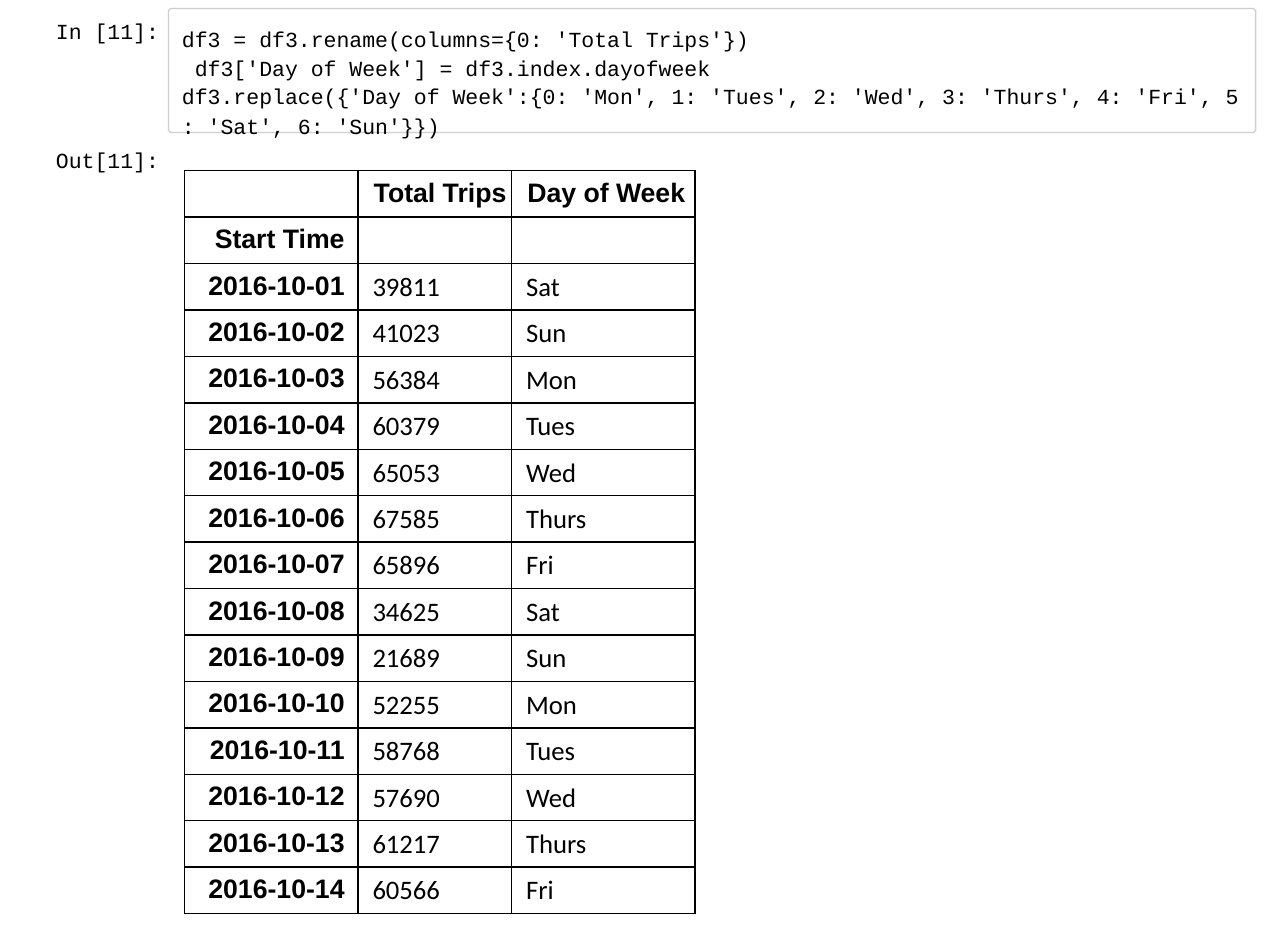
from itertools import product
from lxml import etree
from pptx import Presentation
from pptx import util as u
from pptx.dml.color import RGBColor
from pptx.enum import text
from pptx.oxml import ns

Pt = u.Pt
COLORS = {"ink": "000000", "frame": "CFCFCF"}
CODE = {"name": "Courier New", "size": Pt(12.5), "bold": False}
HEAD = {"name": "Arial", "size": Pt(15.5), "bold": True}
BODY = {**HEAD, "name": "Calibri", "bold": False}

# Line spacing and text of each code paragraph; \v breaks the line
CODE_LINES = [
    (1.14, "df3 = df3.rename(columns={0: 'Total Trips'})\v df3['Day of Week'] = df3.index.dayofweek"),
    (1.08, "df3.replace({'Day of Week':{0: 'Mon', 1: 'Tues', 2: 'Wed', 3: 'Thurs', 4: 'Fri', 5"),
    (1.17, ": 'Sat', 6: 'Sun'}})"),
]
TRIPS = [39811, 41023, 56384, 60379, 65053, 67585, 65896,
         34625, 21689, 52255, 58768, 57690, 61217, 60566]
WEEK = ["Sat", "Sun", "Mon", "Tues", "Wed", "Thurs", "Fri"]


def set_attrs(obj, values):
    for name, value in values.items():
        setattr(obj, name, value)


def write(p, words, fmt):
    p.text = words
    for r in p.runs:
        set_attrs(r.font, fmt)
        r.font.color.rgb = RGBColor.from_string(COLORS["ink"])


def add_text(s, box, margins, lines):
    tf = s.shapes.add_textbox(*map(Pt, box)).text_frame
    left, top = margins
    set_attrs(tf, {"word_wrap": True, "margin_left": Pt(left), "margin_top": Pt(top),
                   "margin_right": 0, "margin_bottom": 0})
    for i, (spacing, words) in enumerate(lines):
        p = tf.add_paragraph() if i else tf.paragraphs[0]
        p.line_spacing = spacing
        write(p, words, CODE)


def add_prompt(s, box, words):
    add_text(s, box, (0.72, 0.72), [(1.0, words)])


def add_code_cell(s, box):
    x, y, w, h = box
    cut = 1.2
    # Frame with slightly cut corners
    points = [(x + cut, y), (x + w - cut, y), (x + w, y + cut), (x + w, y + h - cut),
              (x + w - cut, y + h), (x + cut, y + h), (x, y + h - cut), (x, y + cut)]
    points = [(Pt(px), Pt(py)) for px, py in points]
    builder = s.shapes.build_freeform(*points[0])
    builder.add_line_segments(points[1:], close=True)
    sp = builder.convert_to_shape()
    sp.shadow.inherit = False
    sp.fill.background()
    sp.line.color.rgb = RGBColor.from_string(COLORS["frame"])
    sp.line.width = Pt(0.75)
    # Code
    add_text(s, (x + 0.7, y + 5.6, w - 0.7, 60), (7.2, 2.16), CODE_LINES)


def add_borders(cell):
    tcPr = cell._tc.get_or_add_tcPr()
    for i, side in enumerate("LRTB"):
        ln = etree.Element(ns.qn(f"a:ln{side}"), w=str(Pt(1)))
        fill = etree.SubElement(ln, ns.qn("a:solidFill"))
        etree.SubElement(fill, ns.qn("a:srgbClr"), val=COLORS["ink"])
        tcPr.insert(i, ln)


def add_trips_table(s, box, widths):
    rows = [["", "Total Trips", "Day of Week"], ["Start Time", "", ""]]
    rows += [[f"2016-10-{i + 1:02}", str(n), WEEK[i % len(WEEK)]]
             for i, n in enumerate(TRIPS)]
    tbl = s.shapes.add_table(len(rows), len(widths), *map(Pt, box)).table
    set_attrs(tbl, {"first_row": False, "horz_banding": False})
    for col, width in zip(tbl.columns, widths):
        col.width = Pt(width)
    for row in tbl.rows:
        row.height = Pt(box[3] / len(rows))
    for i, j in product(range(len(rows)), range(len(widths))):
        cell = tbl.cell(i, j)
        is_index, is_head = j == 0, i == 0
        set_attrs(cell, {"margin_left": Pt(0 if is_index else 9.2 if is_head else 8.5),
                         "margin_right": Pt(7.8 if is_index else 0),
                         "margin_top": Pt(4.32), "margin_bottom": 0})
        cell.fill.background()
        add_borders(cell)
        p = cell.text_frame.paragraphs[0]
        p.alignment = text.PP_ALIGN.RIGHT if is_index else text.PP_ALIGN.LEFT
        if rows[i][j]:
            write(p, rows[i][j], HEAD if is_index or is_head else BODY)


prs = Presentation()
set_attrs(prs, {"slide_width": Pt(748.8), "slide_height": Pt(545.76)})
s = prs.slides.add_slide(prs.slide_layouts[6])
# Input
add_prompt(s, (31.8, 9.5, 62, 17), "In [11]:")
add_code_cell(s, (98, 5, 632, 72))
# Output
add_prompt(s, (31.8, 85, 62, 17), "Out[11]:")
add_trips_table(s, (107.3, 99.2, 296.7, 432), (100.8, 89.3, 106.6))
prs.save("out.pptx")
